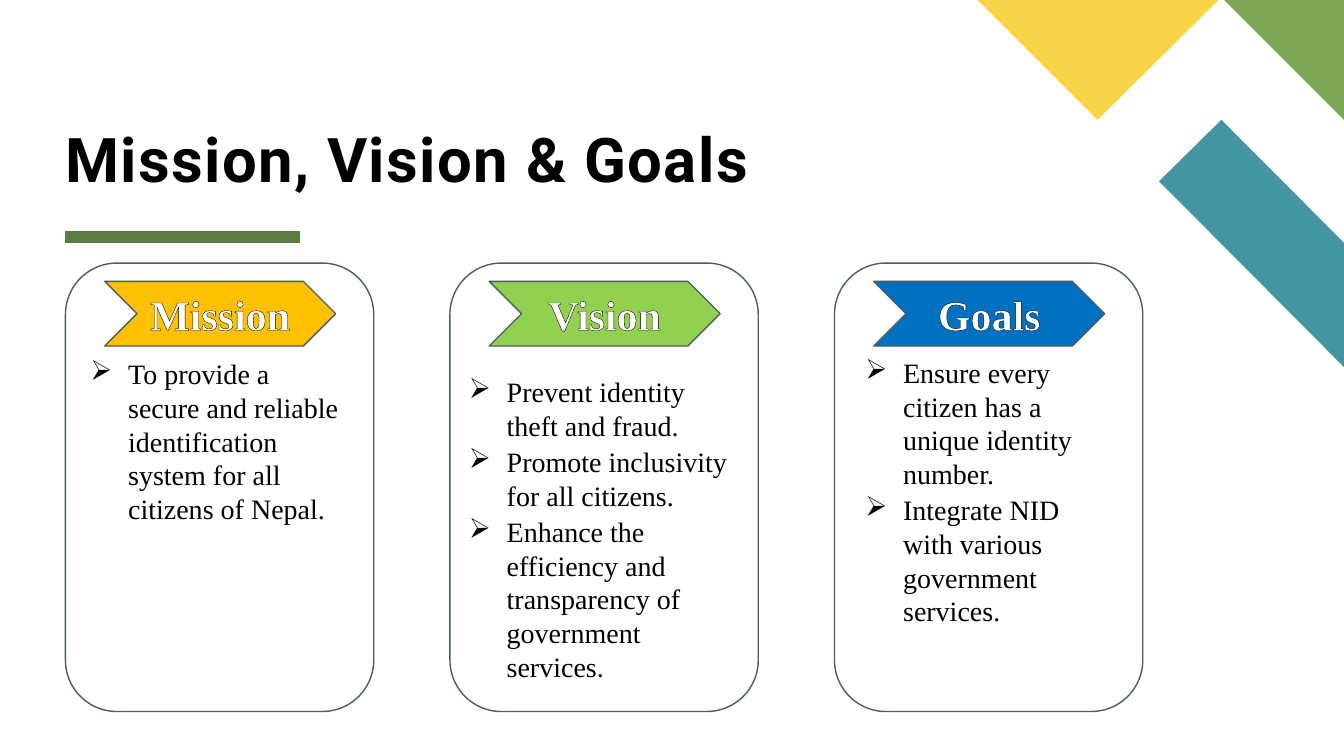
import pptx
import pptx.dml.color
import pptx.enum.shapes
import pptx.enum.text
import pptx.oxml.ns
import pptx.util
from lxml import etree

Cm, Pt = pptx.util.Cm, pptx.util.Pt
Shape = pptx.enum.shapes.MSO_SHAPE
Anchor = pptx.enum.text.MSO_ANCHOR
Align = pptx.enum.text.PP_ALIGN
qn = pptx.oxml.ns.qn

HUES = {
    "teal": "4495A2", "leaf": "7CA655", "sun": "F9D448", "moss": "5D7D40",
    "edge": "4A5D60", "gold": "FFC000", "lime": "92D050", "blue": "0070C0",
    "ink": "000000", "white": "FFFFFF",
}
SERIF = "Times New Roman"
WIDE, HIGH = 33.87, 19.05

# Heading, colour, bullet box (offset in card and size), anchor, bullets
CARDS = [
    ("Mission", "gold", (0.38, 2.24, 6.86, 5.33), Anchor.TOP,
     ["To provide a secure and reliable identification system for all "
      "citizens of Nepal."]),
    ("Vision", "lime", (0.23, 2.64, 7.37, 8.1), Anchor.MIDDLE,
     ["Prevent identity theft and fraud.",
      "Promote inclusivity for all citizens.",
      "Enhance the efficiency and transparency of government services."]),
    ("Goals", "blue", (0.53, 2.21, 6.71, 7.16), Anchor.TOP,
     ["Ensure every citizen has a unique identity number.",
      "Integrate NID with various government services."]),
]


def hue(name):
    return pptx.dml.color.RGBColor.from_string(HUES[name])


def box(*sides):
    return [Cm(side) for side in sides]


def style(para, face, size, tint, bold=False):
    for run in para.runs:
        font = run.font
        font.name, font.size, font.bold = face, Pt(size), bold
        font.color.rgb = hue(tint)


def paint(shape, fill=None, line=None):
    shape.shadow.inherit = False
    if fill:
        shape.fill.solid()
        shape.fill.fore_color.rgb = hue(fill)
    else:
        shape.fill.background()
    if line:
        shape.line.color.rgb = hue(line)
        shape.line.width = Pt(1)
    else:
        shape.line.fill.background()


def no_pad(frame):
    frame.margin_left = frame.margin_right = 0
    frame.margin_top = frame.margin_bottom = 0


def corner(slide, right):
    """Coloured pieces hung from the top right corner."""
    pieces = [
        ("teal", [(0, 9.25), (0, 6.12), (3.09, 3.02), (4.66, 4.57)]),
        ("leaf", [(0, 3.02), (0, 0), (3.02, 0)]),
        ("sun", [(9.23, 0), (6.21, 3.02), (3.16, 0)]),
    ]
    for tint, spots in pieces:
        spots = [(Cm(right - x), Cm(y)) for x, y in spots]
        path = slide.shapes.build_freeform(*spots[0], scale=1.0)
        path.add_line_segments(spots[1:], close=True)
        paint(path.convert_to_shape(), tint)


def header(slide, left, top, width, height):
    """Title with a short rule below it."""
    rule = slide.shapes.add_connector(
        pptx.enum.shapes.MSO_CONNECTOR.STRAIGHT,
        *box(left, top + 3.53, left + 5.92, top + 3.53))
    rule.line.color.rgb = hue("moss")
    rule.line.width = Pt(8)
    etree.SubElement(rule._element.spPr, qn("a:effectLst"))

    frame = slide.shapes.add_textbox(*box(left, top, width, height)).text_frame
    frame.word_wrap = True
    frame.vertical_anchor = Anchor.BOTTOM
    no_pad(frame)
    para = frame.paragraphs[0]
    para.text = "Mission, Vision & Goals"
    para.line_spacing = 0.8
    style(para, "Roboto", 44, "ink", True)
    para.runs[0]._r.get_or_add_rPr().set("spc", "100")


def banner(slide, left, top, text, tint):
    """Chevron with an outlined heading."""
    shape = slide.shapes.add_shape(Shape.CHEVRON, *box(left, top, 5.82, 1.63))
    paint(shape, tint, "edge")
    frame = shape.text_frame
    no_pad(frame)
    frame.vertical_anchor = Anchor.MIDDLE
    para = frame.paragraphs[0]
    para.text = text
    para.alignment = Align.CENTER
    style(para, SERIF, 30, "white", True)
    # Letter outline
    line = etree.Element(qn("a:ln"), w=str(Pt(1.06)))
    fill = etree.SubElement(line, qn("a:solidFill"))
    etree.SubElement(fill, qn("a:srgbClr"), val=HUES["ink"])
    para.runs[0]._r.get_or_add_rPr().insert(0, line)


def points(slide, left, top, width, height, anchor, items):
    """Bulleted list."""
    frame = slide.shapes.add_textbox(*box(left, top, width, height)).text_frame
    frame.word_wrap = True
    frame.auto_size = pptx.enum.text.MSO_AUTO_SIZE.SHAPE_TO_FIT_TEXT
    frame.vertical_anchor = anchor
    frame.text = "\n".join(items)
    for para in frame.paragraphs:
        para.space_before = para.space_after = Pt(1)
        style(para, SERIF, 20, "ink")
        props = para._p.get_or_add_pPr()
        props.set("marL", str(Cm(0.95)))
        props.set("indent", str(-Cm(0.95)))
        etree.SubElement(props, qn("a:buChar"), char="➢")


def card(slide, left, top, width, height, data):
    """Rounded frame with its banner and list."""
    text, tint, (dx, dy, wide, high), anchor, items = data
    frame = slide.shapes.add_shape(
        Shape.ROUNDED_RECTANGLE, *box(left, top, width, height))
    paint(frame, line="edge")
    banner(slide, left + 0.99, top + 0.46, text, tint)
    points(slide, left + dx, top + dy, wide, high, anchor, items)


def main():
    deck = pptx.Presentation()
    deck.slide_width, deck.slide_height = box(WIDE, HIGH)
    slide = deck.slides.add_slide(deck.slide_layouts[6])
    corner(slide, WIDE)
    header(slide, 1.65, 2.44, 27.15, 2.46)
    for i, data in enumerate(CARDS):
        card(slide, 1.65 + 9.69 * i, 6.63, 7.77, 11.3, data)
    deck.save("out.pptx")


if __name__ == "__main__":
    main()
